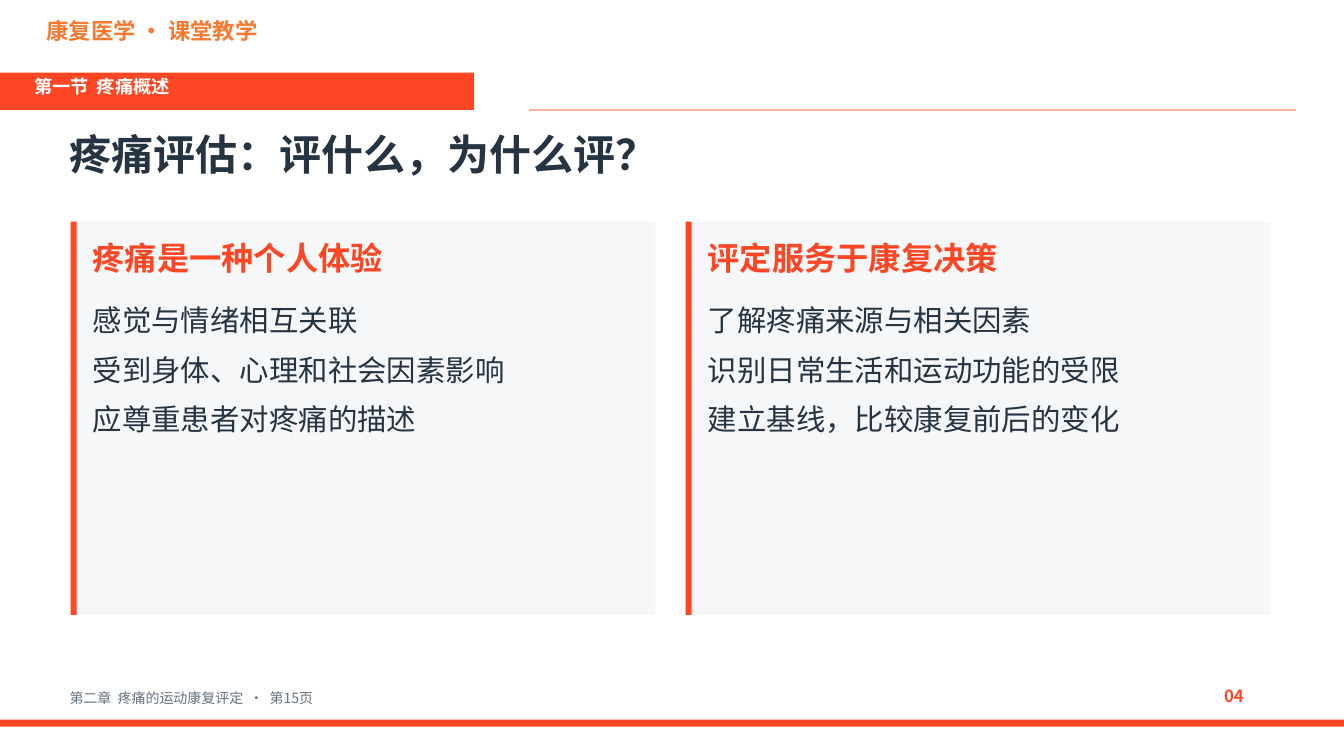
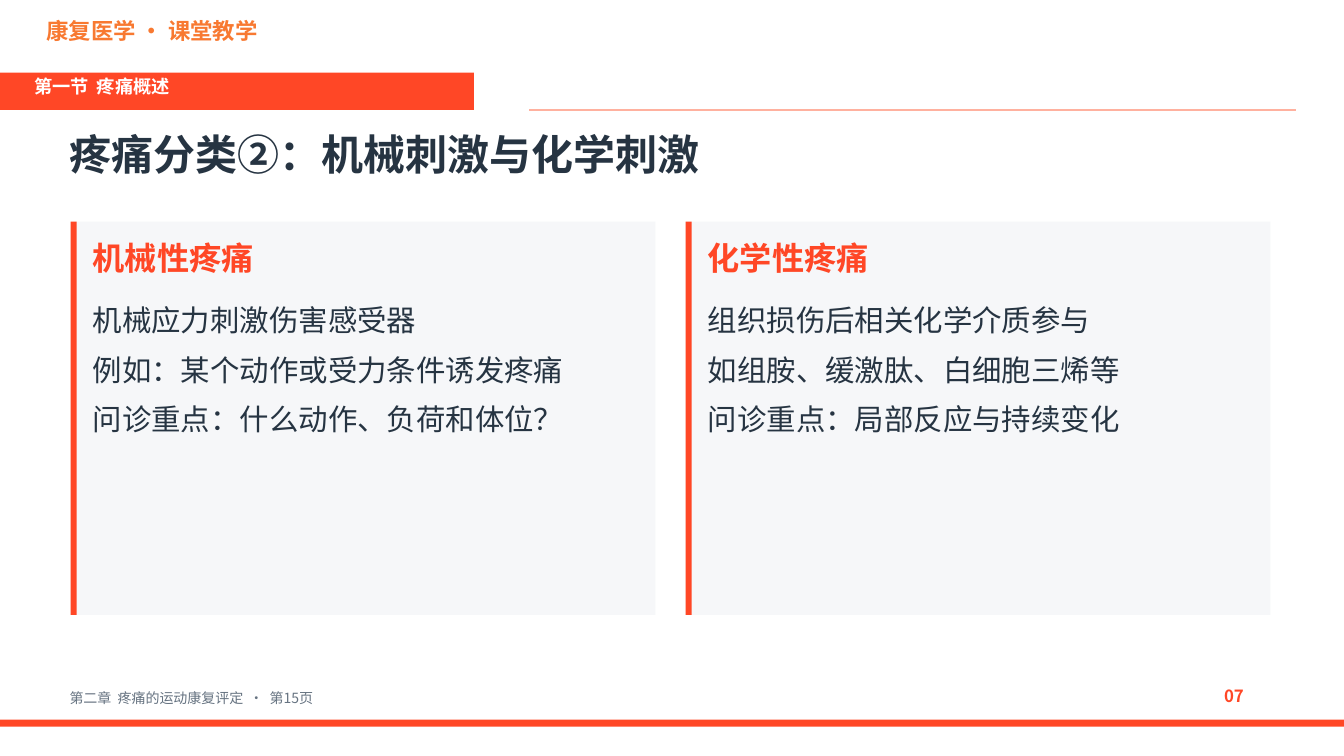
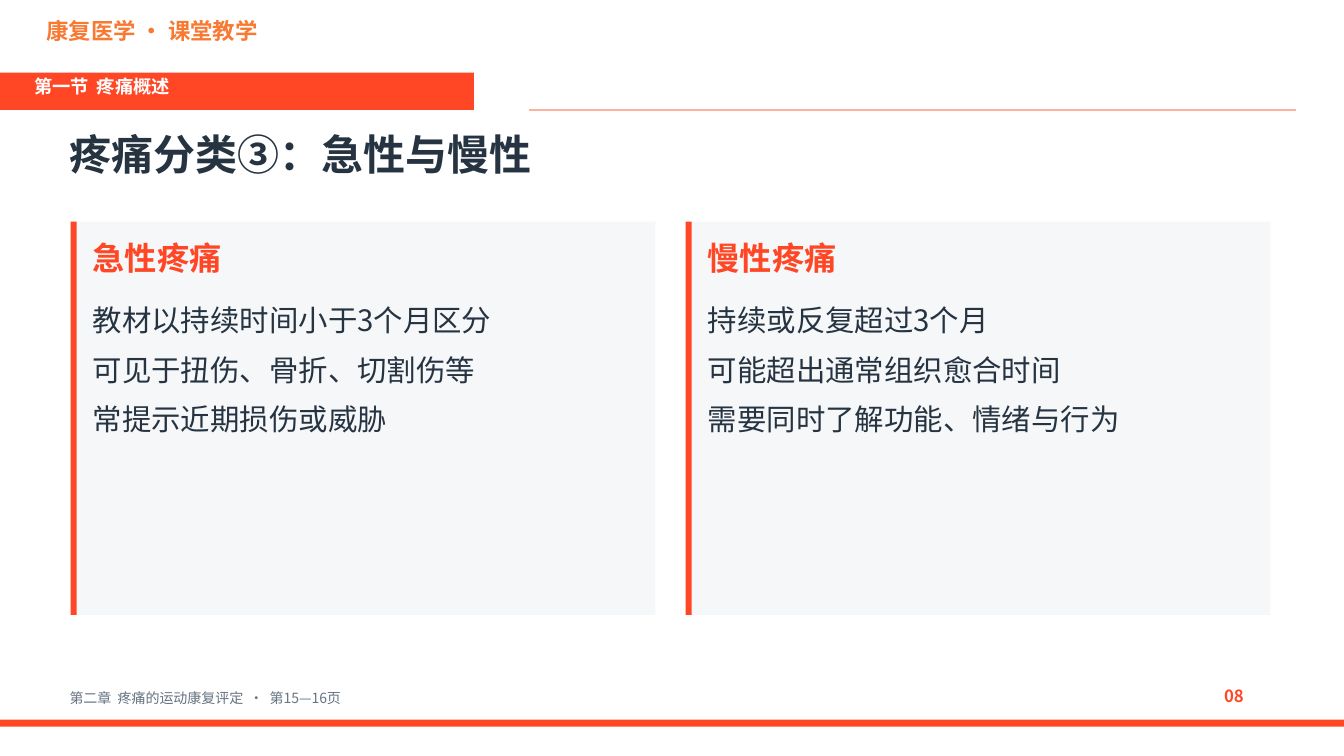
from lxml import etree
from pptx import Presentation
from pptx.dml.color import RGBColor
from pptx.enum.shapes import MSO_CONNECTOR, MSO_SHAPE
from pptx.enum.text import MSO_AUTO_SIZE
from pptx.oxml.ns import qn
from pptx.util import Inches, Pt

RECT = MSO_SHAPE.RECTANGLE
STRAIGHT = MSO_CONNECTOR.STRAIGHT
GROW = MSO_AUTO_SIZE.SHAPE_TO_FIT_TEXT

FONT = "Noto Sans CJK SC"
RED = RGBColor(0xFF, 0x47, 0x26)
ORANGE = RGBColor(0xF8, 0x79, 0x31)
PINK = RGBColor(0xFF, 0xB1, 0x9F)
INK = RGBColor(0x26, 0x34, 0x42)
GREY = RGBColor(0x66, 0x73, 0x81)
PANEL = RGBColor(0xF6, 0xF7, 0xF9)
WHITE = RGBColor(0xFF, 0xFF, 0xFF)

SLIDE_W, SLIDE_H = 13.33, 7.5
CARD_X, CARD_Y, CARD_W, CARD_H, CARD_GAP = 0.7, 2.2, 5.8, 3.9, 0.3

COURSE = "康复医学 · 课堂教学"
SECTION = "第一节  疼痛概述"
CHAPTER = "第二章  疼痛的运动康复评定"

SLIDES = [
    ("疼痛评估：评什么，为什么评？", "第15页", "04", [
        ("疼痛是一种个人体验",
         ["感觉与情绪相互关联", "受到身体、心理和社会因素影响", "应尊重患者对疼痛的描述"]),
        ("评定服务于康复决策",
         ["了解疼痛来源与相关因素", "识别日常生活和运动功能的受限", "建立基线，比较康复前后的变化"]),
    ]),
    ("疼痛分类②：机械刺激与化学刺激", "第15页", "07", [
        ("机械性疼痛",
         ["机械应力刺激伤害感受器", "例如：某个动作或受力条件诱发疼痛", "问诊重点：什么动作、负荷和体位？"]),
        ("化学性疼痛",
         ["组织损伤后相关化学介质参与", "如组胺、缓激肽、白细胞三烯等", "问诊重点：局部反应与持续变化"]),
    ]),
    ("疼痛分类③：急性与慢性", "第15—16页", "08", [
        ("急性疼痛",
         ["教材以持续时间小于3个月区分", "可见于扭伤、骨折、切割伤等", "常提示近期损伤或威胁"]),
        ("慢性疼痛",
         ["持续或反复超过3个月", "可能超出通常组织愈合时间", "需要同时了解功能、情绪与行为"]),
    ]),
]


def add_rect(s, x, y, w, h, color):
    """Draw a plain filled rectangle."""
    sp = s.shapes.add_shape(RECT, Inches(x), Inches(y), Inches(w), Inches(h))
    sp.shadow.inherit = False
    sp.fill.solid()
    sp.fill.fore_color.rgb = color
    sp.line.fill.background()


def add_text(s, x, y, w, h, lines, size, color, bold=False):
    """Place a text box with one paragraph per line."""
    sp = s.shapes.add_textbox(Inches(x), Inches(y), Inches(w), Inches(h))
    tf = sp.text_frame
    tf.word_wrap = True
    tf.auto_size = GROW
    tf.margin_left = tf.margin_right = Inches(0.04)
    tf.margin_top, tf.margin_bottom = Inches(0.02), 0
    tf.text = "\n".join(lines)
    for p in tf.paragraphs:
        p.space_after = Pt(10)
        p.font.size = Pt(size)
        p.font.bold = bold
        p.font.color.rgb = color
        p.font.name = FONT
        props = p._p.pPr.find(qn("a:defRPr"))
        etree.SubElement(props, qn("a:ea"), typeface=FONT)


def add_header(s, title):
    """Draw the course name, section band, rule and slide title."""
    add_text(s, 0.42, 0.15, 3.5, 0.4, [COURSE], 16, ORANGE, True)
    add_rect(s, 0, 0.72, 4.7, 0.37, RED)
    add_text(s, 0.3, 0.73, 4.2, 0.32, [SECTION], 13, WHITE, True)
    add_text(s, 0.65, 1.25, 12, 0.65, [title], 30, INK, True)
    rule = s.shapes.add_connector(
        STRAIGHT, Inches(5.25), Inches(1.09), Inches(12.85), Inches(1.09))
    rule.line.color.rgb = PINK
    rule.line.width = Pt(1)
    etree.SubElement(rule._element.spPr, qn("a:effectLst"))


def add_footer(s, pages, number):
    """Draw the bottom band, book reference and slide number."""
    add_rect(s, 0, 7.14, SLIDE_W, 0.07, RED)
    add_text(s, 0.65, 6.82, 11, 0.23, [f"{CHAPTER}  ·  {pages}"], 10, GREY)
    add_text(s, 12.1, 6.78, 0.6, 0.3, [number], 12, RED, True)


def add_card(s, x, y, w, h, heading, points):
    """Draw a panel with a red edge, a heading and its points."""
    add_rect(s, x, y, w, h, PANEL)
    add_rect(s, x, y, 0.06, h, RED)
    add_text(s, x + 0.18, y + 0.14, w - 0.35, 0.45, [heading], 23, RED, True)
    add_text(s, x + 0.18, y + 0.78, w - 0.35, h - 0.87, points, 21, INK)


def add_comparison(prs, title, pages, number, cards):
    """Add a slide that sets cards side by side."""
    s = prs.slides.add_slide(prs.slide_layouts[6])
    add_header(s, title)
    add_footer(s, pages, number)
    for i, (heading, points) in enumerate(cards):
        x = CARD_X + i * (CARD_W + CARD_GAP)
        add_card(s, x, CARD_Y, CARD_W, CARD_H, heading, points)


def main():
    """Build and save the presentation."""
    prs = Presentation()
    prs.slide_width, prs.slide_height = Inches(SLIDE_W), Inches(SLIDE_H)
    for content in SLIDES:
        add_comparison(prs, *content)
    prs.save("out.pptx")


if __name__ == "__main__":
    main()
